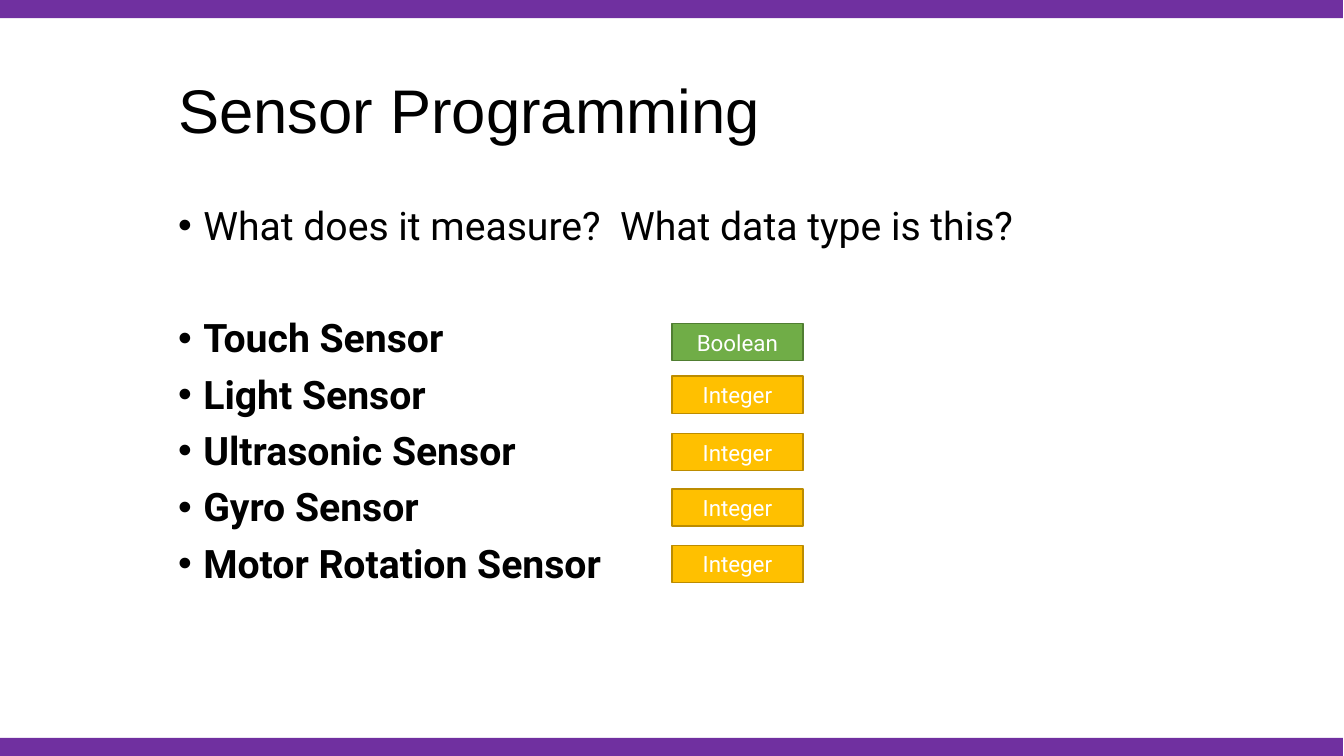
from dataclasses import dataclass

from lxml import etree
from pptx import Presentation
from pptx.dml.color import RGBColor
from pptx.enum.shapes import MSO_SHAPE
from pptx.enum.text import MSO_ANCHOR, PP_ALIGN
from pptx.oxml.ns import qn
from pptx.util import Pt

PX = 9144
SLIDE_W, SLIDE_H = 1334, 750
BAR_W, BAR_H = 1333, 18
TAG_X, TAG_W, TAG_H = 667, 130, 37
BULLET_INDENT = 25
RECT = MSO_SHAPE.RECTANGLE
MIDDLE, TOP = MSO_ANCHOR.MIDDLE, MSO_ANCHOR.TOP
LEFT, CENTER = PP_ALIGN.LEFT, PP_ALIGN.CENTER

TITLE = "Sensor Programming"
QUESTION = "What does it measure?  What data type is this?"
SENSORS = [
    ("Touch Sensor", "Boolean", 321),
    ("Light Sensor", "Integer", 373),
    ("Ultrasonic Sensor", "Integer", 430),
    ("Gyro Sensor", "Integer", 485),
    ("Motor Rotation Sensor", "Integer", 541),
]


@dataclass(frozen=True)
class Theme:
    """Fonts, type sizes and colours of the slide."""
    title_font: str = "Arial"
    body_font: str = "Roboto"
    title_size: int = 44
    body_size: int = 28
    tag_size: int = 16
    text: str = "000000"
    tag_text: str = "FFFFFF"
    bar: str = "7030A0"
    boolean: tuple = ("70AD47", "507E32")
    integer: tuple = ("FFC000", "BC8C00")


THEME = Theme()
TAG_COLORS = {"Boolean": THEME.boolean, "Integer": THEME.integer}


def box(x, y, w, h):
    """Turn a px box into EMU."""
    return [v * PX for v in (x, y, w, h)]


def style(font, name, size, color, bold=False):
    """Format a font."""
    font.name, font.size, font.bold = name, Pt(size), bold
    font.color.rgb = RGBColor.from_string(color)


def add_rect(s, x, y, w, h, fill, line=None):
    """Add a flat rectangle with an optional outline."""
    sp = s.shapes.add_shape(RECT, *box(x, y, w, h))
    sp.shadow.inherit = False
    sp.fill.solid()
    sp.fill.fore_color.rgb = RGBColor.from_string(fill)
    if line:
        sp.line.color.rgb = RGBColor.from_string(line)
        sp.line.width = Pt(1)
    else:
        sp.line.fill.background()
    return sp


def add_title(s, text):
    """Place and format the title placeholder."""
    sp = s.shapes.title
    sp.left, sp.top, sp.width, sp.height = box(167, 40, 1000, 145)
    tf = sp.text_frame
    tf.text = text
    tf.vertical_anchor = MIDDLE
    p = tf.paragraphs[0]
    p.alignment, p.line_spacing = LEFT, 0.9
    style(p.runs[0].font, THEME.title_font, THEME.title_size, THEME.text)


def add_bullet(p):
    """Give a paragraph a hanging round bullet."""
    pPr = p._p.get_or_add_pPr()
    pPr.set("marL", str(BULLET_INDENT * PX))
    pPr.set("indent", str(-BULLET_INDENT * PX))
    color = etree.SubElement(pPr, qn("a:buClr"))
    etree.SubElement(color, qn("a:srgbClr"), val=THEME.text)
    etree.SubElement(pPr, qn("a:buFont"), typeface="Arial")
    etree.SubElement(pPr, qn("a:buChar"), char="•")


def add_body(s, question, names):
    """Add the question and, after a gap, the bold sensor names."""
    tf = s.shapes.add_textbox(*box(167, 200, 1000, 512)).text_frame
    tf.word_wrap = True
    tf.vertical_anchor = TOP
    tf.text = "\n".join([question, *names])
    gaps = [0, 50] + [10] * (len(names) - 1)
    for i, (p, gap) in enumerate(zip(tf.paragraphs, gaps)):
        add_bullet(p)
        p.line_spacing, p.space_before = 0.9, Pt(gap)
        style(p.runs[0].font, THEME.body_font, THEME.body_size, THEME.text, i > 0)


def add_tag(s, kind, y):
    """Add a data type tag."""
    tf = add_rect(s, TAG_X, y, TAG_W, TAG_H, *TAG_COLORS[kind]).text_frame
    tf.text = kind
    tf.word_wrap = True
    tf.vertical_anchor = MIDDLE
    p = tf.paragraphs[0]
    p.alignment = CENTER
    style(p.runs[0].font, THEME.body_font, THEME.tag_size, THEME.tag_text)


def main():
    """Build the slide and save it."""
    prs = Presentation()
    prs.slide_width, prs.slide_height = SLIDE_W * PX, SLIDE_H * PX
    s = prs.slides.add_slide(prs.slide_layouts[5])
    add_title(s, TITLE)
    add_body(s, QUESTION, [name for name, _, _ in SENSORS])
    for y in (SLIDE_H - BAR_H, 0):
        add_rect(s, 0, y, BAR_W, BAR_H, THEME.bar)
    for _, kind, y in SENSORS:
        add_tag(s, kind, y)
    prs.save("out.pptx")


if __name__ == "__main__":
    main()
